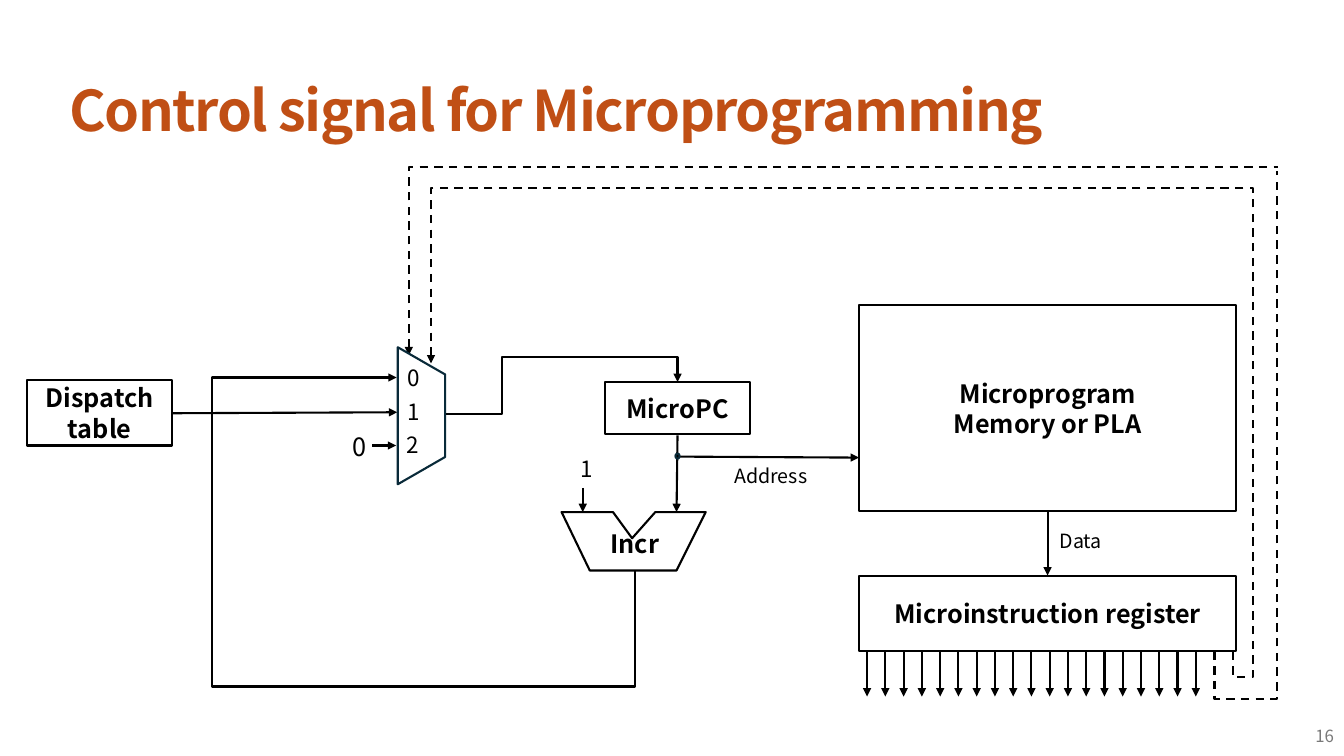
"""Builds the slide on control signals for microprogramming."""
import lxml.etree
import pptx
import pptx.dml.color
import pptx.enum.dml
import pptx.enum.shapes
import pptx.enum.text
import pptx.oxml.ns
import pptx.util

Inches = pptx.util.Inches
SHAPE = pptx.enum.shapes.MSO_SHAPE
CONNECTOR = pptx.enum.shapes.MSO_CONNECTOR
ALIGN = pptx.enum.text.PP_ALIGN
ANCHOR = pptx.enum.text.MSO_ANCHOR

THEME = {
    "font": "Noto Sans CJK KR",
    "ink": "000000", "paper": "FFFFFF", "edge": "092A39",
    "title": "C04F15", "muted": "797979",
    "title size": 40, "block size": 18, "input size": 16,
    "signal size": 14, "number size": 12, "line": 1.5,
}

TITLE = ("Control signal for Microprogramming", (0.59, 0.4, 11.5, 1.45))
PAGE_NUMBER = ("16", (10.33, 7.1, 3, 0.4))

BLOCKS = [
    ("Microprogram\nMemory or PLA", (8.52, 3.03, 3.74, 2.04)),
    ("Microinstruction register", (8.52, 5.71, 3.74, 0.75)),
    ("MicroPC", (6, 3.79, 1.44, 0.52)),
    ("Dispatch\ntable", (0.27, 3.77, 1.44, 0.65)),
]
INCREMENTER = [(7, 5.08), (6.5, 5.08), (6.27, 5.34), (6.08, 5.08),
               (5.57, 5.08), (5.85, 5.66), (6.71, 5.66)]
MULTIPLEXER = (3.5, 3.89, 1.36, 0.47)
JUNCTION = (6.7, 4.5, 0.04, 0.05)

LABELS = [
    ("1", (5.66, 4.47, 0.23, 0.37), "input size"),
    ("0", (3.94, 3.56, 0.23, 0.37), "input size"),
    ("1", (3.94, 3.9, 0.23, 0.37), "input size"),
    ("2", (3.93, 4.23, 0.23, 0.37), "input size"),
    ("Address", (7.13, 4.55, 1.03, 0.34), "signal size"),
    ("Data", (10.39, 5.2, 0.66, 0.34), "signal size"),
]
INCREMENTER_LABEL = ("Incr", (5.89, 5.19, 0.81, 0.41))
ZERO_INPUT = ("0", (3.4, 4.23, 0.36, 0.4))

ARROWS = [
    ((6.72, 4.32), (6.71, 5.08)),
    ((5.78, 4.84), (5.78, 5.08)),
    ((1.71, 4.1), (3.94, 4.09)),
    ((3.69, 4.42), (3.93, 4.42)),
    ((6.74, 4.53), (8.52, 4.54)),
    ((10.39, 5.08), (10.39, 5.71)),
]
CONTROL_LINES = {"count": 19, "first": 8.6, "last": 11.86, "top": 6.46, "bottom": 6.91}

ELBOWS = [
    ("bentConnector4", (4.16, 3.52, 1.91, 2.36), 90, "h", (-0.605, 1.778), "tailEnd", False),
    ("bentConnector4", (4.41, 3.79, 2.31, 0.32), 0, "v", (0.247, 1.769), "tailEnd", False),
    ("bentConnector3", (9.97, 3.77, 4.77, 0.62), 90, "hv", (-0.098,), None, True),
    ("bentConnector5", (6.82, 1.06, 2.86, 7.95), 90, "h", (-0.087, -0.026, 1.609), "tailEnd", True),
    ("bentConnector2", (7.43, -1.72, 1.87, 8.62), 90, "hv", (), "headEnd", True),
]


def color(name):
    return pptx.dml.color.RGBColor.from_string(THEME[name])


def lengths(values):
    return [Inches(value) for value in values]


def write(shape, text, size, ink="ink", bold=False, align=ALIGN.CENTER,
          anchor=ANCHOR.MIDDLE, wrap=True):
    frame = shape.text_frame
    frame.text = text
    frame.word_wrap = wrap
    frame.vertical_anchor = anchor
    for paragraph in frame.paragraphs:
        paragraph.alignment = align
        for run in paragraph.runs:
            run.font.name = THEME["font"]
            run.font.size = pptx.util.Pt(THEME[size])
            run.font.bold = bold
            run.font.color.rgb = color(ink)


def add_text(slide, text, box, size, **style):
    shape = slide.shapes.add_textbox(*lengths(box))
    write(shape, text, size, **style)
    return shape


def paint(shape, fill="paper", line="ink"):
    shape.shadow.inherit = False
    shape.fill.solid()
    shape.fill.fore_color.rgb = color(fill)
    shape.line.color.rgb = color(line)
    shape.line.width = pptx.util.Pt(THEME["line"])
    return shape


def add_block(slide, kind, box, fill="paper", line="ink"):
    return paint(slide.shapes.add_shape(kind, *lengths(box)), fill, line)


def add_wire(slide, kind, start, end, arrow="tailEnd", dashed=False):
    wire = slide.shapes.add_connector(kind, *lengths(start + end))
    wire.line.color.rgb = color("ink")
    wire.line.width = pptx.util.Pt(THEME["line"])
    if dashed:
        wire.line.dash_style = pptx.enum.dml.MSO_LINE.DASH
    properties = wire._element.spPr
    if arrow:
        head = lxml.etree.SubElement(properties.find(pptx.oxml.ns.qn("a:ln")),
                                     pptx.oxml.ns.qn("a:" + arrow))
        head.set("type", "triangle")
    lxml.etree.SubElement(properties, pptx.oxml.ns.qn("a:effectLst"))
    return wire


def add_elbow(slide, preset, box, rotation, flips, bends, arrow, dashed):
    left, top, width, height = box
    x_ends = (left, left + width)[::-1 if "h" in flips else 1]
    y_ends = (top, top + height)[::-1 if "v" in flips else 1]
    start, end = zip(x_ends, y_ends)
    wire = add_wire(slide, CONNECTOR.ELBOW, start, end, arrow, dashed)
    properties = wire._element.spPr
    properties.find(pptx.oxml.ns.qn("a:xfrm")).set("rot", str(rotation * 60000))
    geometry = properties.find(pptx.oxml.ns.qn("a:prstGeom"))
    geometry.set("prst", preset)
    guides = geometry.find(pptx.oxml.ns.qn("a:avLst"))
    for number, bend in enumerate(bends, 1):
        guide = lxml.etree.SubElement(guides, pptx.oxml.ns.qn("a:gd"))
        guide.set("name", f"adj{number}")
        guide.set("fmla", f"val {round(bend * 100000)}")


def main():
    presentation = pptx.Presentation()
    presentation.slide_width, presentation.slide_height = Inches(13.33), Inches(7.5)
    slide = presentation.slides.add_slide(presentation.slide_layouts[6])

    for elbow in ELBOWS:
        add_elbow(slide, *elbow)
    for text, box in BLOCKS:
        write(add_block(slide, SHAPE.RECTANGLE, box), text, "block size", bold=True)

    outline = [tuple(lengths(point)) for point in INCREMENTER]
    builder = slide.shapes.build_freeform(*outline[0])
    builder.add_line_segments(outline[1:], close=True)
    paint(builder.convert_to_shape())

    multiplexer = add_block(slide, SHAPE.TRAPEZOID, MULTIPLEXER, line="edge")
    multiplexer.rotation = 90
    multiplexer.adjustments[0] = 0.576

    for start, end in ARROWS:
        add_wire(slide, CONNECTOR.STRAIGHT, start, end)
    control = CONTROL_LINES
    step = (control["last"] - control["first"]) / (control["count"] - 1)
    for index in range(control["count"]):
        x = control["first"] + index * step
        add_wire(slide, CONNECTOR.STRAIGHT, (x, control["top"]), (x, control["bottom"]))
    add_block(slide, SHAPE.OVAL, JUNCTION, fill="ink", line="edge")

    for text, box, size in LABELS:
        add_text(slide, text, box, size, anchor=ANCHOR.TOP, wrap=False)
    add_text(slide, *INCREMENTER_LABEL, "block size", bold=True, anchor=ANCHOR.TOP)
    add_text(slide, *ZERO_INPUT, "block size", align=ALIGN.LEFT, anchor=ANCHOR.TOP)
    add_text(slide, *PAGE_NUMBER, "number size", ink="muted", align=ALIGN.RIGHT)

    title = add_text(slide, *TITLE, "title size", ink="title", bold=True, align=ALIGN.LEFT)
    heading = title.text_frame.paragraphs[0]
    heading.line_spacing = 0.9
    heading.runs[0].font._element.set("spc", "-100")
    presentation.save("out.pptx")


if __name__ == "__main__":
    main()
